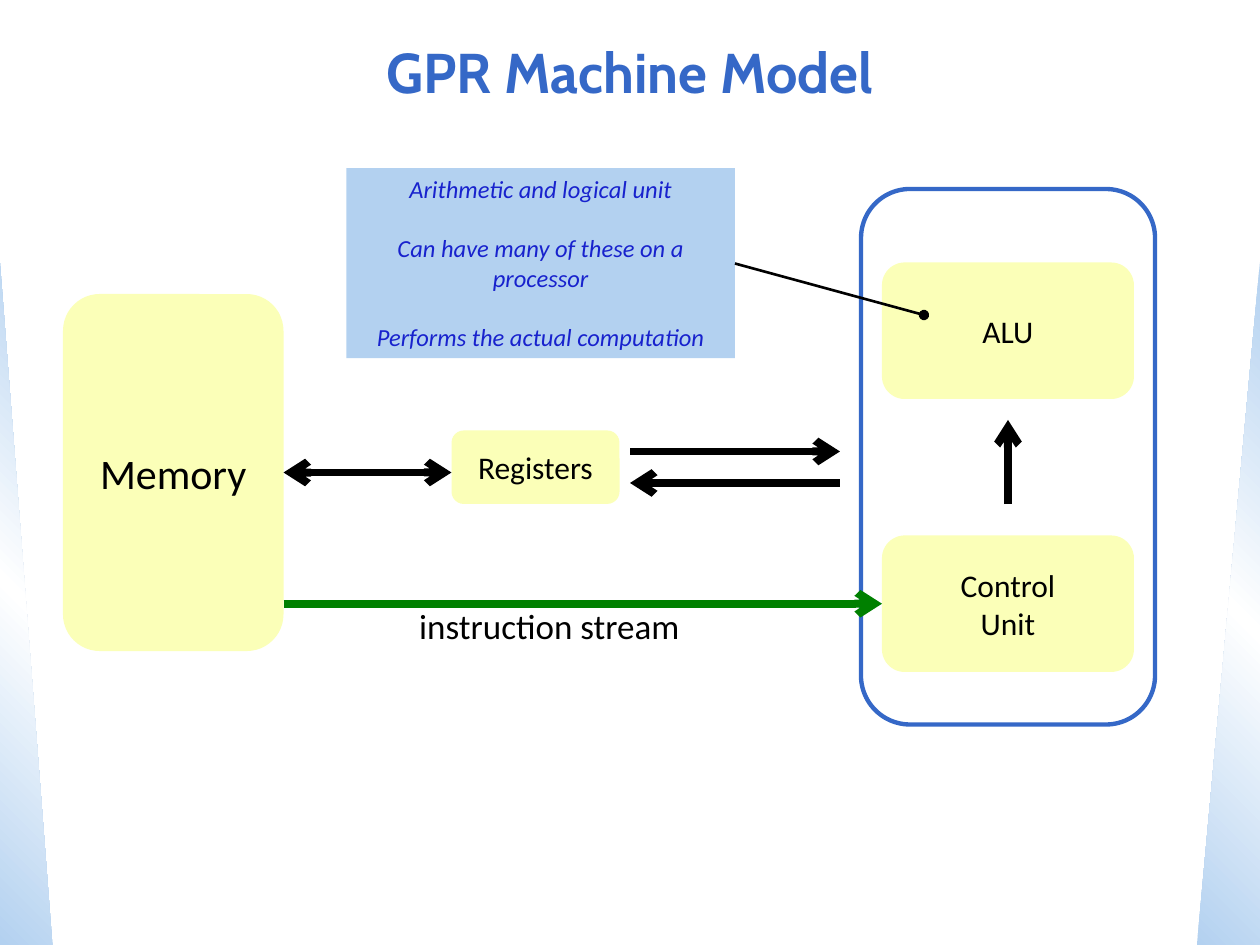
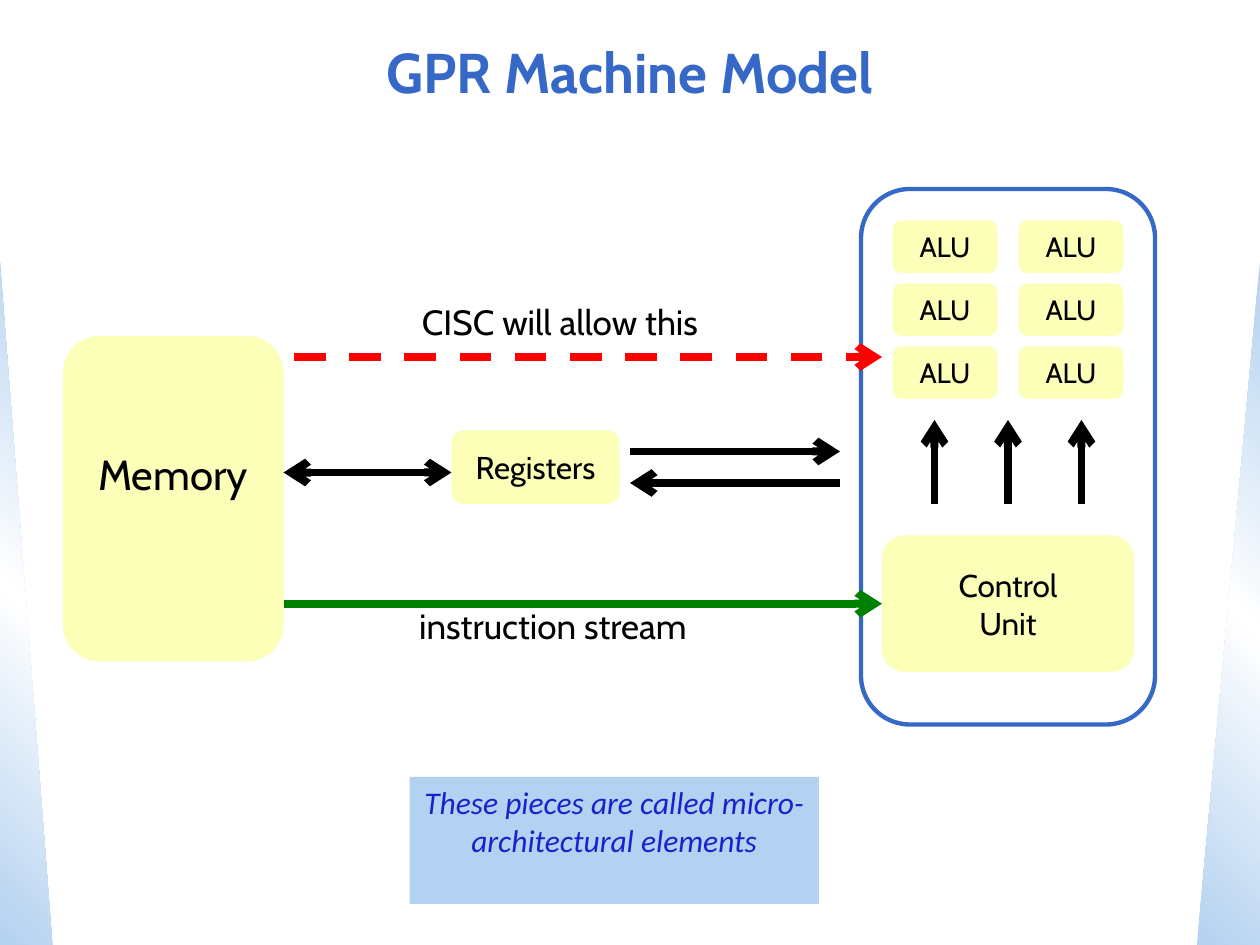
from copy import deepcopy

from lxml import etree
from pptx import Presentation
from pptx.dml.color import RGBColor
from pptx.enum.dml import MSO_LINE
from pptx.enum.shapes import MSO_CONNECTOR, MSO_SHAPE
from pptx.enum.text import MSO_ANCHOR, PP_ALIGN
from pptx.oxml.ns import qn
from pptx.util import Inches, Pt

ROUNDED, RECT, TRIANGLE = MSO_SHAPE.ROUNDED_RECTANGLE, MSO_SHAPE.RECTANGLE, MSO_SHAPE.RIGHT_TRIANGLE
STRAIGHT, DASH = MSO_CONNECTOR.STRAIGHT, MSO_LINE.DASH
CENTER, LEFT = PP_ALIGN.CENTER, PP_ALIGN.LEFT
TOP, MIDDLE = MSO_ANCHOR.TOP, MSO_ANCHOR.MIDDLE

COLORS = {
    "title": "3568C7", "band": "B3D1F0", "white": "FFFFFF", "box": "FBFFB8",
    "text": "000000", "note": "1822CD", "stream": "008000", "cisc": "FF0000",
}
TITLE = "GPR Machine Model"
HEADING_FONT, NOTE_FONT = "Cabin", "Calibri"

# All places are in cells of a grid of 120 columns by 90 rows (12 to the inch)
COLUMNS, ROWS, CELLS_PER_INCH = 120, 90, 12
BANDS = [((0, 25, 5, 65), 315, False), ((114, 25, 6, 65), 45, True)]
PROCESSOR = (82, 18, 28, 51)
SHARED_UNITS = [
    (["Registers"], (43, 41, 16, 7), 18),
    (["Control", "Unit"], (84, 51, 24, 13), 18),
]
# start, end, colour, end marks
SHARED_ARROWS = [
    ((60, 43), (80, 43), "text", {"tailEnd": "arrow"}),
    ((80, 46), (60, 46), "text", {"tailEnd": "arrow"}),
    ((43, 45), (27, 45), "text", {"headEnd": "arrow", "tailEnd": "arrow"}),
    ((27, 57.5), (84, 57.5), "stream", {"tailEnd": "arrow"}),
]
STREAM_LABEL = ("instruction stream", (38.75, 57, 28.25, 5.25))
ALU_GRID = [(85 + 12 * column, 21 + 6 * row, 10, 5) for row in range(3) for column in range(2)]

SLIDES = [
    {
        "font": "Calibri", "memory": (6, 28, 21, 34), "memory_lift": 0,
        "alus": [(84, 25, 24, 13)], "alu_size": 18, "control_columns": [96],
        "note": (["Arithmetic and logical unit", "Can have many of these on a processor",
                  "Performs the actual computation"], (33, 16, 37, 18.1), 14),
        "pointer": ((70, 25.1), (88, 30)),
    },
    {
        "font": "Cabin", "memory": (6, 32, 21, 31), "memory_lift": 0.4,
        "alus": ALU_GRID, "alu_size": 16, "control_columns": [89, 96, 103],
        "note": (["These pieces are called micro-architectural elements"],
                 (39, 74, 39, 12.1), 18),
        "cisc": ("CISC will allow this", (39, 28, 30.8, 5.25), (28, 34), (84, 34)),
    },
]


def cells(values):
    return [Inches(value / CELLS_PER_INCH) for value in values]


def color(key):
    return RGBColor.from_string(COLORS[key])


def write(shape, lines, font, size, ink="text", align=CENTER, anchor=MIDDLE,
          bold=False, italic=False, gap=0, wrap=True):
    frame = shape.text_frame
    frame.word_wrap = wrap
    frame.vertical_anchor = anchor
    frame.text = "\n".join(lines)
    for index, paragraph in enumerate(frame.paragraphs):
        paragraph.alignment = align
        paragraph.space_before = Pt(gap if index else 0)
        paragraph.font.name, paragraph.font.size = font, Pt(size)
        paragraph.font.bold, paragraph.font.italic = bold, italic
        paragraph.font.color.rgb = color(ink)


def add_block(slide, kind, place, fill=None):
    block = slide.shapes.add_shape(kind, *cells(place))
    block.shadow.inherit = False
    block.line.fill.background()
    if fill:
        block.fill.solid()
        block.fill.fore_color.rgb = color(fill)
    else:
        block.fill.background()
    return block


def add_unit(slide, lines, place, font, size):
    unit = add_block(slide, ROUNDED, place, "box")
    write(unit, lines, font, size)
    return unit


def add_label(slide, text, place, font):
    label = slide.shapes.add_textbox(*cells(place))
    write(label, [text], font, 20, align=LEFT, anchor=TOP, wrap=False)


def add_arrow(slide, start, end, ink, marks, width=4.5, dash=None):
    arrow = slide.shapes.add_connector(STRAIGHT, *cells(start + end))
    arrow.line.color.rgb = color(ink)
    arrow.line.width = Pt(width)
    if dash:
        arrow.line.dash_style = dash
    properties = arrow._element.spPr
    outline = properties.find(qn("a:ln"))
    for mark, kind in marks.items():
        etree.SubElement(outline, qn("a:" + mark), type=kind)
    etree.SubElement(properties, qn("a:effectLst"))


def add_band(slide, place, angle, flipped):
    band = add_block(slide, TRIANGLE, place)
    band.fill.gradient()
    band.fill.gradient_angle = 360 - angle
    properties = band._element.spPr
    stops = properties.find(qn("a:gradFill")).find(qn("a:gsLst"))
    stops.append(deepcopy(stops[0]))
    for stop, position, key in zip(band.fill.gradient_stops, (0, 0.5, 1), ("band", "white", "band")):
        stop.position = position
        stop.color.rgb = color(key)
    if flipped:
        properties.find(qn("a:xfrm")).set("flipH", "1")


def add_background(slide):
    for band in BANDS:
        add_band(slide, *band)
    title = slide.shapes.add_textbox(*cells((9, 1.5, 102, 10.5)))
    write(title, [TITLE], HEADING_FONT, 32, ink="title", bold=True)


def build_slide(presentation, model):
    slide = presentation.slides.add_slide(presentation.slide_layouts[6])
    add_background(slide)
    font = model["font"]

    # Memory, registers and processor
    memory = add_unit(slide, ["Memory"], model["memory"], font, 24)
    memory.text_frame.margin_bottom = Inches(0.05 + model["memory_lift"])
    for lines, place, size in SHARED_UNITS:
        add_unit(slide, lines, place, font, size)
    for place in model["alus"]:
        add_unit(slide, ["ALU"], place, font, model["alu_size"])
    processor = add_block(slide, ROUNDED, PROCESSOR)
    processor.line.color.rgb = color("title")
    processor.line.width = Pt(2.5)

    # Data, control and instruction flow
    for arrow in SHARED_ARROWS:
        add_arrow(slide, *arrow)
    for column in model["control_columns"]:
        add_arrow(slide, (column, 48), (column, 40), "text", {"tailEnd": "arrow"})
    add_label(slide, *STREAM_LABEL, font)
    if "cisc" in model:
        text, place, start, end = model["cisc"]
        add_arrow(slide, start, end, "cisc", {"tailEnd": "arrow"}, dash=DASH)
        add_label(slide, text, place, font)

    # Explanatory note
    lines, place, size = model["note"]
    note = add_block(slide, RECT, place, "band")
    write(note, lines, NOTE_FONT, size, ink="note", anchor=TOP, italic=True, gap=17)
    if "pointer" in model:
        add_arrow(slide, *model["pointer"], "text", {"tailEnd": "oval"}, width=1.5)


def main():
    presentation = Presentation()
    presentation.slide_width, presentation.slide_height = cells((COLUMNS, ROWS))
    for model in SLIDES:
        build_slide(presentation, model)
    presentation.save("out.pptx")


if __name__ == "__main__":
    main()
